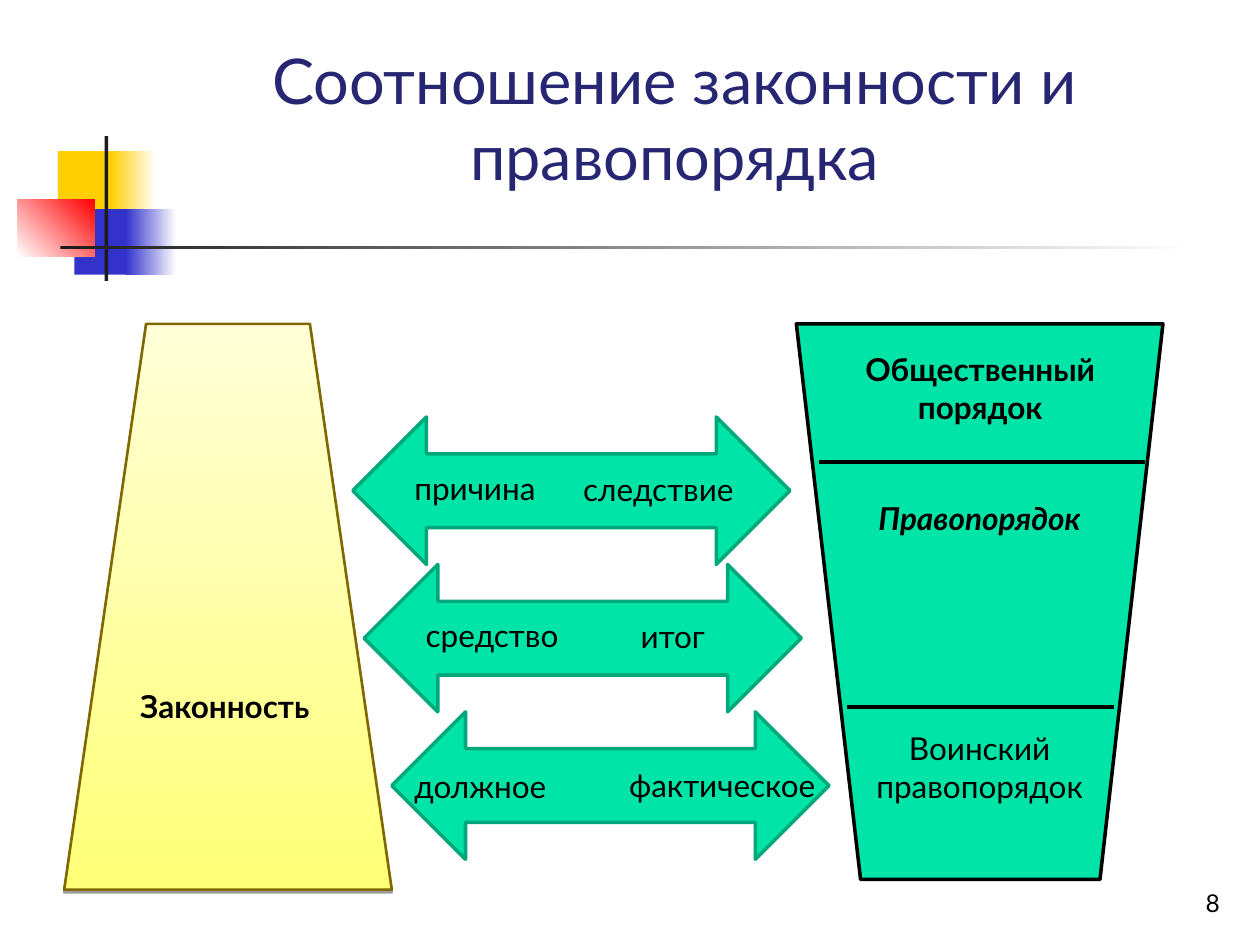
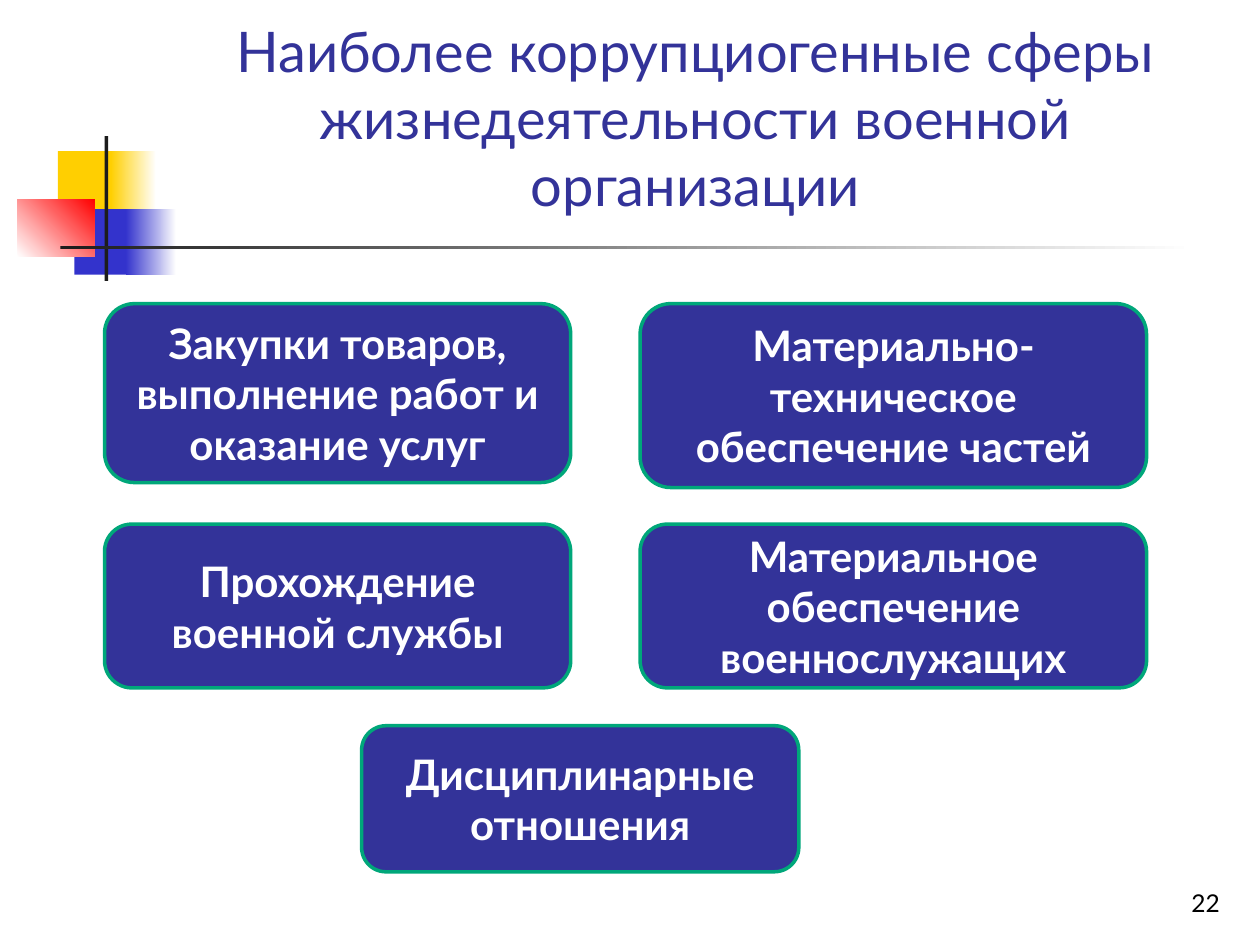
from lxml import etree
from pptx import Presentation
from pptx.dml.color import RGBColor
from pptx.enum.shapes import MSO_CONNECTOR, MSO_SHAPE
from pptx.enum.text import MSO_ANCHOR, PP_ALIGN
from pptx.oxml.ns import qn
from pptx.util import Inches, Pt

FONT = "Lato"
BLACK = RGBColor(0x00, 0x00, 0x00)
WHITE = RGBColor(0xFF, 0xFF, 0xFF)
CHARCOAL = RGBColor(0x1C, 0x1C, 0x1C)
GOLD = RGBColor(0xFF, 0xCF, 0x01)
BLUE = RGBColor(0x33, 0x33, 0xCC)
RED = RGBColor(0xFF, 0x00, 0x00)
INDIGO = RGBColor(0x33, 0x33, 0x99)
DARK_INDIGO = RGBColor(0x26, 0x26, 0x73)
GREEN = RGBColor(0x00, 0xE4, 0xA8)
DARK_GREEN = RGBColor(0x00, 0xA7, 0x7A)
YELLOW = RGBColor(0xFF, 0xFF, 0x78)
PALE_YELLOW = RGBColor(0xFF, 0xFF, 0xD7)
OLIVE = RGBColor(0x80, 0x68, 0x00)

# Box, then a colour or a gradient (start, end, counter-clockwise angle)
ORNAMENT = [
    ((0.46, 1.2, 0.48, 0.52), GOLD),
    ((0.88, 1.2, 0.36, 0.52), (GOLD, WHITE, 0)),
    ((0.59, 1.66, 0.46, 0.52), BLUE),
    ((1, 1.66, 0.4, 0.52), (BLUE, WHITE, 0)),
    ((0.14, 1.58, 0.61, 0.46), (WHITE, RED, 45)),
    ((0.83, 1.08, 0.03, 1.15), CHARCOAL),
    ((0.48, 1.95, 9, 0.03), (CHARCOAL, WHITE, 0)),
]
NUMBER_BOX = (7.7, 6.83, 2.08, 0.5)

LEGALITY_OUTLINE = [(0.51, 7.06), (1.16, 2.57), (2.46, 2.57), (3.11, 7.06)]
ORDER_OUTLINE = [(9.23, 2.57), (8.73, 6.98), (6.83, 6.98), (6.32, 2.57)]
ORDER_LEVELS = [
    ("Общественный порядок", (6.56, 2.73, 2.44, 0.7), {"bold": True}),
    ("Правопорядок", (6.71, 3.91, 2.13, 0.4), {"bold": True, "italic": True}),
    ("Воинский правопорядок", (6.83, 5.74, 1.89, 1), {}),
]
ORDER_DIVIDERS = [(6.5, 9.09, 3.67), (6.72, 8.84, 5.61)]

# Arrow left edge, then each label: text, left, top inside the arrow, width, alignment
ARROWS = [
    (2.8, [("причина", 3.19, 0.36, 1.34, PP_ALIGN.LEFT),
           ("следствие", 4.53, 0.37, 1.44, PP_ALIGN.LEFT)]),
    (2.89, [("средство", 3.28, 0.36, 1.34, PP_ALIGN.LEFT),
            ("итог", 4.62, 0.37, 1.44, PP_ALIGN.CENTER)]),
    (3.11, [("должное", 3.19, 0.39, 1.65, PP_ALIGN.LEFT),
            ("фактическое", 4.76, 0.38, 1.81, PP_ALIGN.RIGHT)]),
]
ARROWS_TOP, ARROW_WIDTH, ARROW_HEIGHT = 3.31, 3.47, 1.17

LEFT_COLUMN, RIGHT_COLUMN, MIDDLE_COLUMN = (0.83, 3.7), (5.08, 4.02), (2.87, 3.47)
SPHERES = [
    ("Закупки товаров, выполнение работ и оказание услуг", LEFT_COLUMN, 2.41, 1.42),
    ("Материально-техническое обеспечение частей", RIGHT_COLUMN, 2.41, 1.46),
    ("Прохождение военной службы", LEFT_COLUMN, 4.16, 1.3),
    ("Материальное обеспечение военнослужащих", RIGHT_COLUMN, 4.16, 1.3),
    ("Дисциплинарные отношения", MIDDLE_COLUMN, 5.76, 1.16),
]


def inches(values):
    return [Inches(value) for value in values]


def write(shape, text, size=18, color=BLACK, bold=False, italic=False,
          align=PP_ALIGN.CENTER, anchor=MSO_ANCHOR.TOP):
    frame = shape.text_frame
    frame.word_wrap = True
    frame.vertical_anchor = anchor
    paragraph = frame.paragraphs[0]
    paragraph.alignment = align
    run = paragraph.add_run()
    run.text = text
    run.font.name = FONT
    run.font.size = Pt(size)
    run.font.color.rgb = color
    run.font.bold = bold
    run.font.italic = italic


def add_text(slide, text, box, **text_format):
    write(slide.shapes.add_textbox(*inches(box)), text, **text_format)


def paint(shape, fill, line=None, line_width=2):
    """Fill with a colour or a (start, end, angle) gradient, and set the outline."""
    shape.shadow.inherit = False
    if isinstance(fill, RGBColor):
        shape.fill.solid()
        shape.fill.fore_color.rgb = fill
    else:
        start, end, angle = fill
        shape.fill.gradient()
        shape.fill.gradient_angle = angle
        for stop, color in zip(shape.fill.gradient_stops, (start, end)):
            stop.color.rgb = color
    if line is None:
        shape.line.fill.background()
    else:
        shape.line.color.rgb = line
        shape.line.width = Pt(line_width)


def add_shape(slide, kind, box, fill, line=None):
    shape = slide.shapes.add_shape(kind, *inches(box))
    paint(shape, fill, line)
    return shape


def add_outline(slide, points, fill, line, line_width):
    corners = [tuple(inches(point)) for point in points]
    builder = slide.shapes.build_freeform(*corners[0])
    builder.add_line_segments(corners[1:], close=True)
    shape = builder.convert_to_shape()
    paint(shape, fill, line, line_width)
    return shape


def add_drop_shadow(shape):
    effects = shape.element.spPr.find(qn("a:effectLst"))
    shadow = etree.SubElement(effects, qn("a:outerShdw"), blurRad="0",
                              dist=str(Pt(1.6)), dir="5400000", rotWithShape="0")
    color = etree.SubElement(shadow, qn("a:srgbClr"), val=str(BLACK))
    etree.SubElement(color, qn("a:alpha"), val="38000")


def add_divider(slide, left, right, y):
    divider = slide.shapes.add_connector(MSO_CONNECTOR.STRAIGHT,
                                         *inches((left, y, right, y)))
    divider.line.color.rgb = BLACK
    divider.line.width = Pt(2.25)
    etree.SubElement(divider.element.spPr, qn("a:effectLst"))


def add_base_slide(presentation, number, title, title_box, **title_format):
    """Add a slide with the corner ornament, its title and its number."""
    slide = presentation.slides.add_slide(presentation.slide_layouts[6])
    for box, fill in ORNAMENT:
        add_shape(slide, MSO_SHAPE.RECTANGLE, box, fill)
    add_text(slide, title, title_box, **title_format)
    add_text(slide, str(number), NUMBER_BOX, size=14, align=PP_ALIGN.RIGHT,
             anchor=MSO_ANCHOR.BOTTOM)
    return slide


def build_legality_slide(presentation):
    slide = add_base_slide(presentation, 8, "Соотношение законности и правопорядка",
                           (1.14, 0.28, 8.43, 1.3), size=36, color=DARK_INDIGO)
    legality = add_outline(slide, LEGALITY_OUTLINE, (YELLOW, PALE_YELLOW, 90), OLIVE, 1.5)
    add_drop_shadow(legality)
    add_text(slide, "Законность", (0.8, 5.4, 1.97, 0.4), bold=True)

    add_outline(slide, ORDER_OUTLINE, GREEN, BLACK, 2)
    for text, box, text_format in ORDER_LEVELS:
        add_text(slide, text, box, **text_format)
    for divider in ORDER_DIVIDERS:
        add_divider(slide, *divider)

    for row, (arrow_left, labels) in enumerate(ARROWS):
        top = ARROWS_TOP + row * ARROW_HEIGHT
        add_shape(slide, MSO_SHAPE.LEFT_RIGHT_ARROW,
                  (arrow_left, top, ARROW_WIDTH, ARROW_HEIGHT), GREEN, DARK_GREEN)
        for text, left, offset, width, align in labels:
            add_text(slide, text, (left, top + offset, width, 0.4), align=align)


def build_corruption_slide(presentation):
    slide = add_base_slide(
        presentation, 22,
        "Наиболее коррупциогенные сферы жизнедеятельности военной организации",
        (1.26, 0.54, 8.52, 1.24), size=32, color=INDIGO, anchor=MSO_ANCHOR.BOTTOM)
    for text, (left, width), top, height in SPHERES:
        sphere = add_shape(slide, MSO_SHAPE.ROUNDED_RECTANGLE,
                           (left, top, width, height), INDIGO, DARK_GREEN)
        write(sphere, text, size=24, color=WHITE, bold=True, anchor=MSO_ANCHOR.MIDDLE)


def main():
    presentation = Presentation()
    presentation.slide_width = Inches(10)
    presentation.slide_height = Inches(7.5)
    build_legality_slide(presentation)
    build_corruption_slide(presentation)
    presentation.save("out.pptx")


if __name__ == "__main__":
    main()
